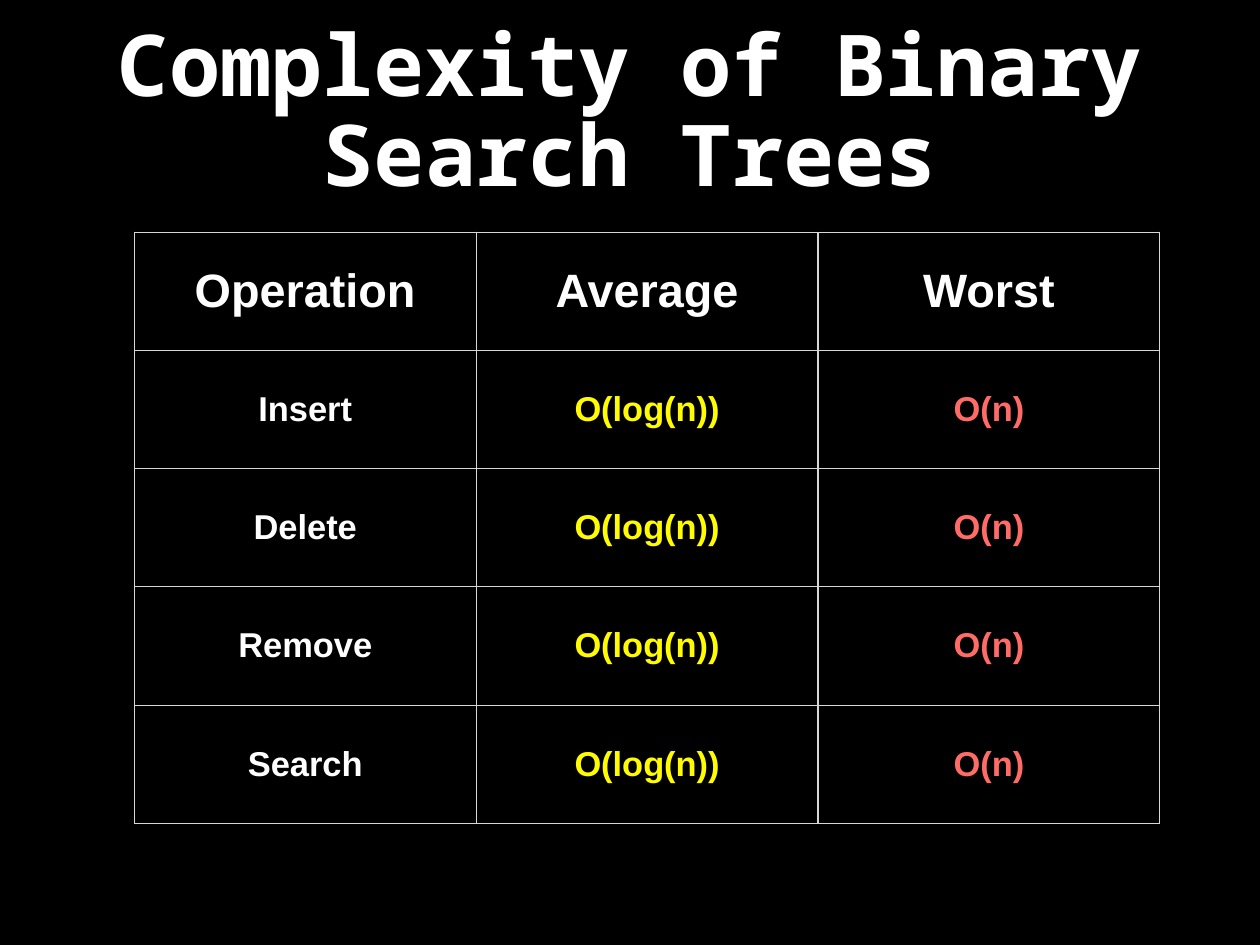
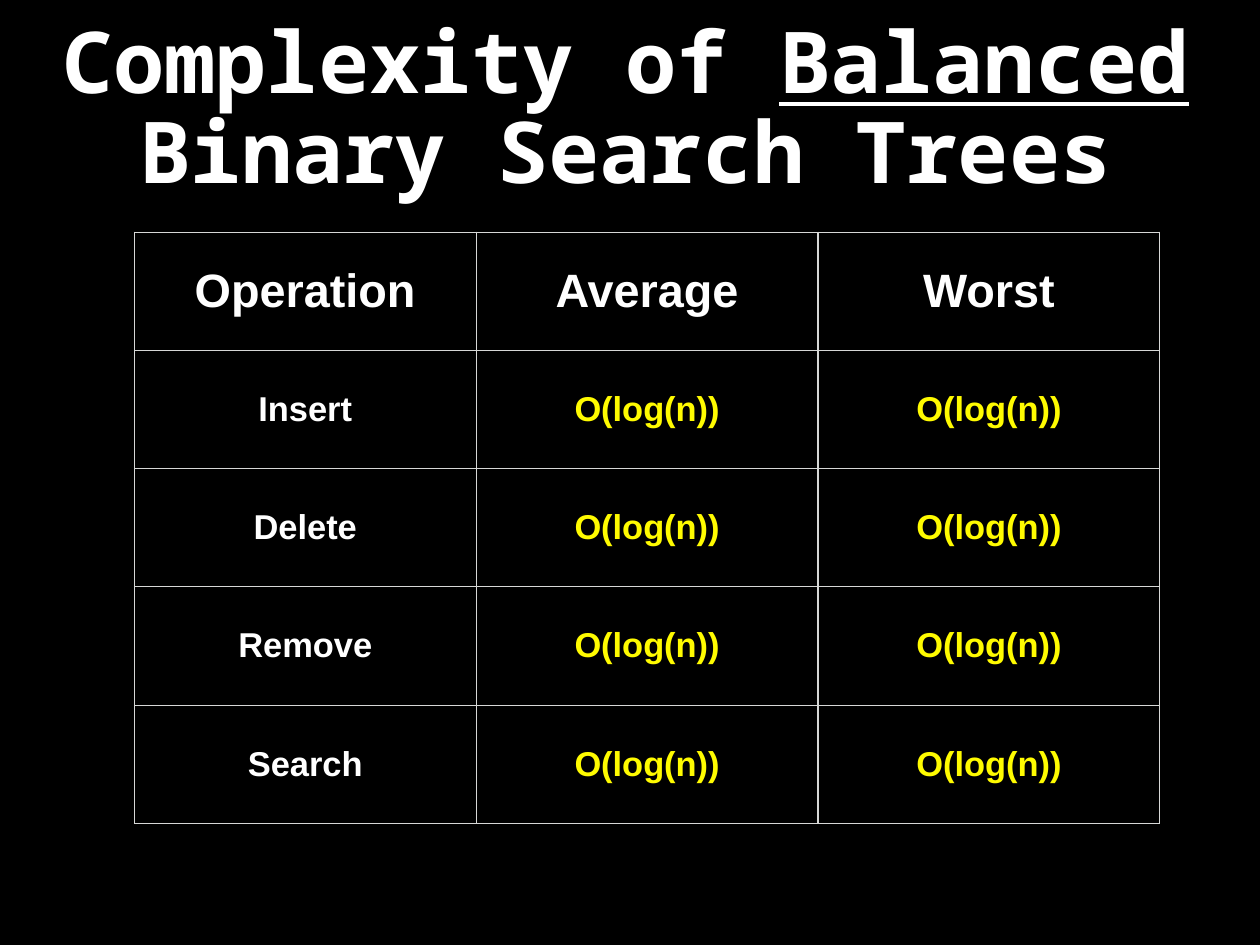
from lxml import etree
from pptx import Presentation
from pptx.dml.color import RGBColor
from pptx.enum.text import MSO_ANCHOR, MSO_AUTO_SIZE, PP_ALIGN
from pptx.oxml.ns import qn
from pptx.util import Cm, Pt

CENTER = PP_ALIGN.CENTER
MIDDLE = MSO_ANCHOR.MIDDLE
NO_AUTOFIT = MSO_AUTO_SIZE.NONE

BLACK = RGBColor(0x00, 0x00, 0x00)
WHITE = RGBColor(0xFF, 0xFF, 0xFF)
YELLOW = RGBColor(0xFF, 0xFB, 0x00)
RED = RGBColor(0xFF, 0x6B, 0x66)
GRID = RGBColor(0xD6, 0xD7, 0xD6)

TITLE_FONT, TITLE_SIZE = "Noto Sans Mono", 69.3
TABLE_FONT, HEAD_SIZE, BODY_SIZE = "Arial", 38, 28
INSET = Cm(0.15)
COL_W, ROW_H = Cm(9.8), Cm(3.39)

HEADERS = ["Operation", "Average", "Worst"]
OPERATIONS = ["Insert", "Delete", "Remove", "Search"]
LOG = "O(log(n))"
COST_COLORS = {LOG: YELLOW, "O(n)": RED}

# Per slide: title left, top and width in cm, title runs (text, underlined), worst case
SLIDES = [
    (2.64, 0.28, 30.84, [("Complexity of Binary Search Trees", False)], "O(n)"),
    (-0.05, 0.2, 35.97, [("Complexity of ", False), ("Balanced", True),
                         (" Binary Search Trees", False)], LOG),
]


def add_run(p, text, font, size, color):
    p.alignment = CENTER
    r = p.add_run()
    r.text = text
    r.font.name = font
    r.font.size = Pt(size)
    r.font.bold = True
    r.font.color.rgb = color
    return r


def set_borders(cell):
    tc_pr = cell._tc.get_or_add_tcPr()
    for i, side in enumerate(("a:lnL", "a:lnR", "a:lnT", "a:lnB")):
        ln = etree.Element(qn(side), w=str(Pt(1)))
        fill = etree.SubElement(ln, qn("a:solidFill"))
        etree.SubElement(fill, qn("a:srgbClr"), val=str(GRID))
        tc_pr.insert(i, ln)


prs = Presentation()
prs.slide_width, prs.slide_height = Cm(36.12), Cm(27.1)

# Shared black background
bg = prs.slide_master.background.fill
bg.solid()
bg.fore_color.rgb = BLACK

for left, top, width, title_runs, worst in SLIDES:
    s = prs.slides.add_slide(prs.slide_layouts[5])

    # Title
    title = s.shapes.title
    title.left, title.top = Cm(left), Cm(top)
    title.width, title.height = Cm(width), Cm(6)
    tf = title.text_frame
    tf.word_wrap = True
    tf.auto_size = NO_AUTOFIT
    tf.vertical_anchor = MIDDLE
    tf.margin_left = tf.margin_right = tf.margin_top = tf.margin_bottom = INSET
    p = tf.paragraphs[0]
    p.line_spacing = 0.88
    for text, underlined in title_runs:
        r = add_run(p, text, TITLE_FONT, TITLE_SIZE, WHITE)
        r.font.underline = underlined

    # Complexity table
    rows = [HEADERS] + [[name, LOG, worst] for name in OPERATIONS]
    n_rows, n_cols = len(rows), len(HEADERS)
    table = s.shapes.add_table(n_rows, n_cols, Cm(3.85), Cm(6.66),
                               COL_W * n_cols, ROW_H * n_rows).table
    table.horz_banding = False
    for col in table.columns:
        col.width = COL_W
    for i, texts in enumerate(rows):
        table.rows[i].height = ROW_H
        size = BODY_SIZE if i else HEAD_SIZE
        for j, text in enumerate(texts):
            cell = table.cell(i, j)
            cell.vertical_anchor = MIDDLE
            cell.margin_left = cell.margin_right = INSET
            cell.margin_top = cell.margin_bottom = INSET
            cell.fill.solid()
            cell.fill.fore_color.rgb = BLACK
            set_borders(cell)
            add_run(cell.text_frame.paragraphs[0], text, TABLE_FONT, size,
                    COST_COLORS.get(text, WHITE))

prs.save("out.pptx")
